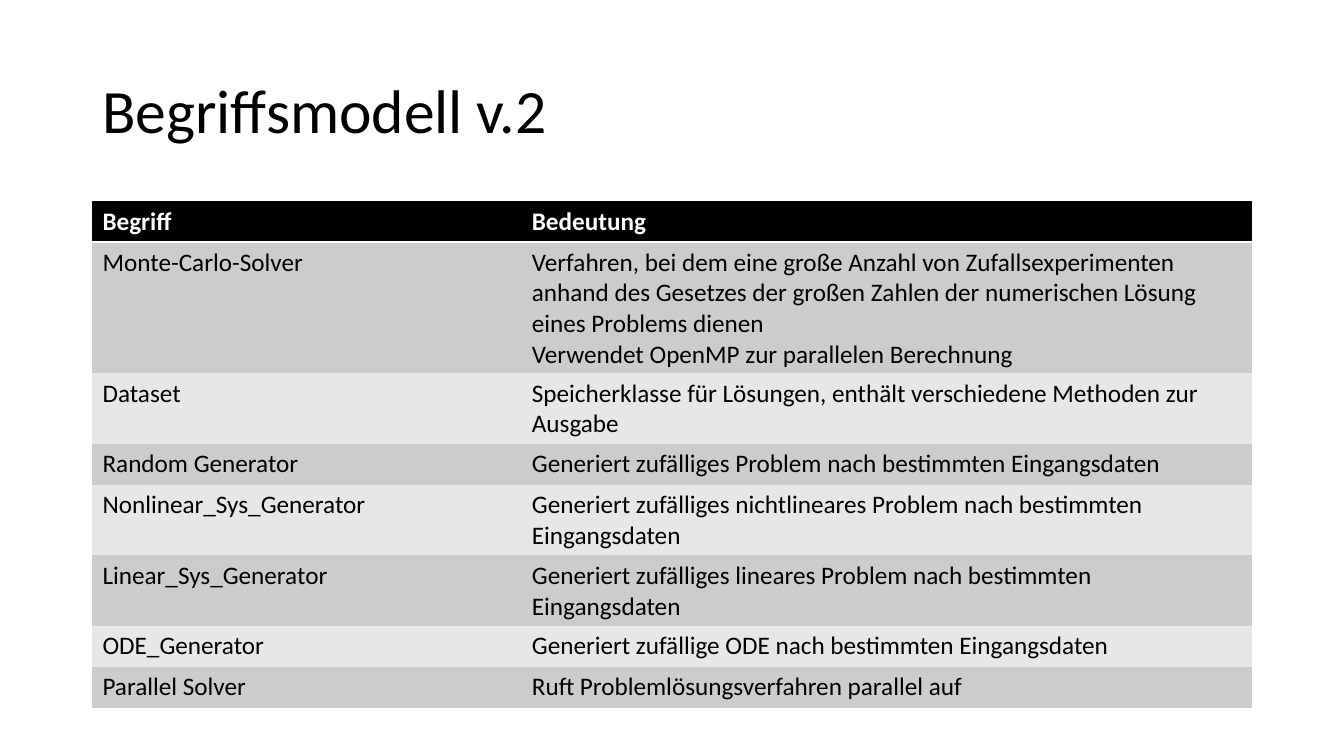
from dataclasses import dataclass

from lxml import etree
from pptx import Presentation
from pptx import util as u
from pptx.dml.color import RGBColor
from pptx.enum import text
from pptx.oxml import ns


@dataclass(frozen=True)
class Theme:
    font: str = "Calibri"
    title_size: int = 44
    table_size: int = 18
    rule_width: int = 2
    dark: str = "000000"
    light: str = "FFFFFF"
    bands: tuple = ("CCCCCC", "E7E7E7")


THEME = Theme()
PLAIN_TABLE_STYLE = "{2D5ABB26-0587-4C30-8999-92F81FD0307C}"
LEFT, WIDTH = u.Cm(2.33), u.Cm(29.21)
COLUMN_WIDTHS = (u.Cm(10.82), u.Cm(18.39))
ROW_HEIGHT = u.Cm(1.03)

HEADER = ("Begriff", "Bedeutung")
TERMS = (
    ("Monte-Carlo-Solver",
     "Verfahren, bei dem eine große Anzahl von Zufallsexperimenten anhand des "
     "Gesetzes der großen Zahlen der numerischen Lösung eines Problems dienen",
     "Verwendet OpenMP zur parallelen Berechnung"),
    ("Dataset",
     "Speicherklasse für Lösungen, enthält verschiedene Methoden zur Ausgabe"),
    ("Random Generator",
     "Generiert zufälliges Problem nach bestimmten Eingangsdaten"),
    ("Nonlinear_Sys_Generator",
     "Generiert zufälliges nichtlineares Problem nach bestimmten Eingangsdaten"),
    ("Linear_Sys_Generator",
     "Generiert zufälliges lineares Problem nach bestimmten Eingangsdaten"),
    ("ODE_Generator",
     "Generiert zufällige ODE nach bestimmten Eingangsdaten"),
    ("Parallel Solver", "Ruft Problemlösungsverfahren parallel auf"),
)


def add_run(paragraph, content, size, color, bold=False):
    run = paragraph.add_run()
    run.text = content
    run.font.name = THEME.font
    run.font.size = u.Pt(size)
    run.font.bold = bold
    run.font.color.rgb = RGBColor.from_string(color)


def add_title(slide, content):
    box = slide.shapes.add_textbox(LEFT, u.Cm(1.01), WIDTH, u.Cm(3.68))
    frame = box.text_frame
    frame.word_wrap = True
    frame.vertical_anchor = text.MSO_ANCHOR.MIDDLE
    paragraph = frame.paragraphs[0]
    paragraph.line_spacing = 0.9
    add_run(paragraph, content, THEME.title_size, THEME.dark)


def fill_cell(cell, lines, fill, color, bold=False):
    cell.fill.solid()
    cell.fill.fore_color.rgb = RGBColor.from_string(fill)
    frame = cell.text_frame
    for index, line in enumerate(lines):
        paragraph = frame.add_paragraph() if index else frame.paragraphs[0]
        add_run(paragraph, line, THEME.table_size, color, bold)


def add_bottom_rule(cell):
    border = etree.Element(ns.qn("a:lnB"), w=str(u.Pt(THEME.rule_width)))
    fill = etree.SubElement(border, ns.qn("a:solidFill"))
    etree.SubElement(fill, ns.qn("a:srgbClr"), val=THEME.light)
    cell._tc.get_or_add_tcPr().insert(0, border)


def add_term_table(slide, header, terms):
    row_count = len(terms) + 1
    frame = slide.shapes.add_table(
        row_count, len(header), LEFT, u.Cm(5.07), WIDTH, ROW_HEIGHT * row_count)
    table = frame.table
    table._tbl.tblPr.find(ns.qn("a:tableStyleId")).text = PLAIN_TABLE_STYLE
    for column, width in zip(table.columns, COLUMN_WIDTHS):
        column.width = width
    for row in table.rows:
        row.height = ROW_HEIGHT
    for index, label in enumerate(header):
        cell = table.cell(0, index)
        fill_cell(cell, [label], THEME.dark, THEME.light, bold=True)
        add_bottom_rule(cell)
    for index, (term, *meaning) in enumerate(terms):
        band = THEME.bands[index % len(THEME.bands)]
        fill_cell(table.cell(index + 1, 0), [term], band, THEME.dark)
        fill_cell(table.cell(index + 1, 1), meaning, band, THEME.dark)


def main():
    presentation = Presentation()
    presentation.slide_width = u.Cm(33.87)
    presentation.slide_height = u.Cm(19.05)
    slide = presentation.slides.add_slide(presentation.slide_layouts[6])
    add_title(slide, "Begriffsmodell v.2")
    add_term_table(slide, HEADER, TERMS)
    presentation.save("out.pptx")


if __name__ == "__main__":
    main()
